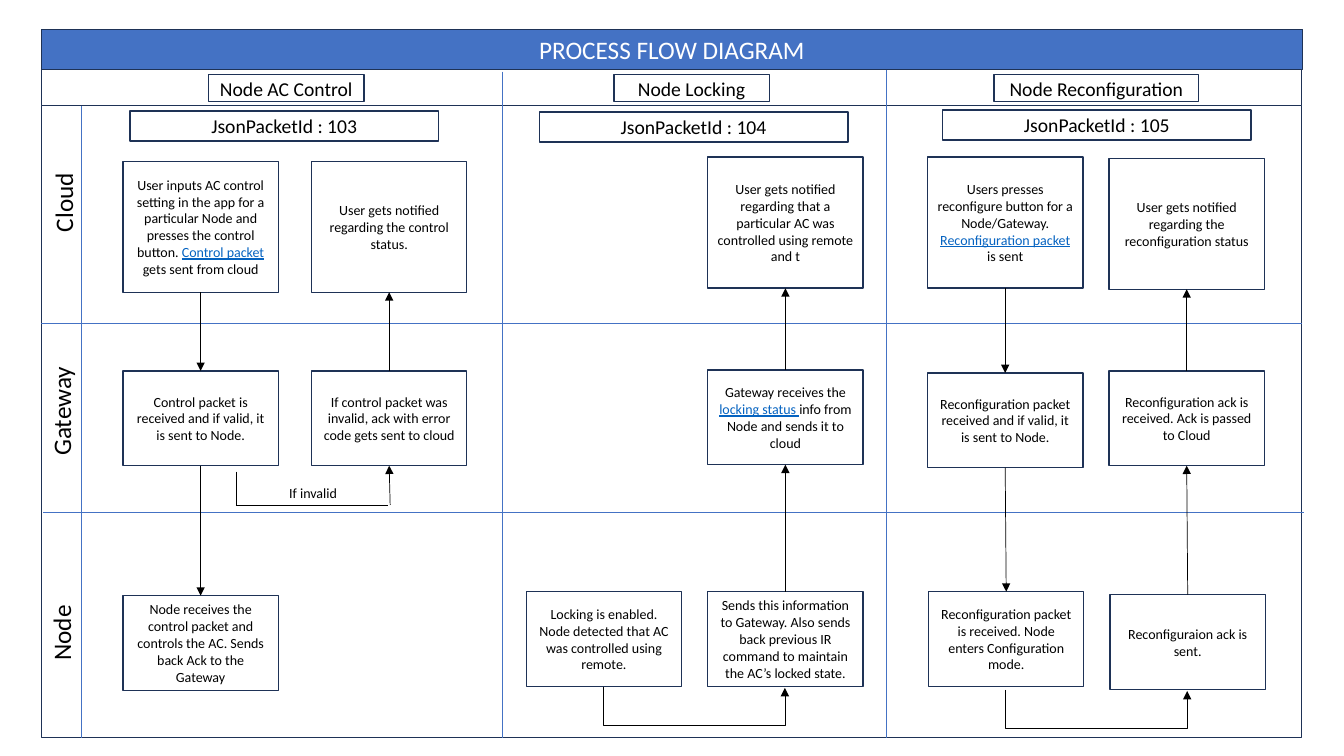
from dataclasses import dataclass

from lxml.etree import SubElement
from pptx import Presentation
from pptx.dml.color import RGBColor
from pptx.enum.shapes import MSO_CONNECTOR as Connector, MSO_SHAPE as Shape
from pptx.enum.text import MSO_ANCHOR as Anchor, MSO_AUTO_SIZE as AutoSize, PP_ALIGN as Align
from pptx.oxml.ns import qn
from pptx.util import Pt

PX = 9144  # EMU per px, 100 px to the inch
FONT = "Calibri"
BLACK, WHITE, BLUE, NAVY, LINK = "000000", "FFFFFF", "4472C4", "1E3256", "0563C1"
STEP_WIDTH, CLOUD_HEIGHT, STEP_HEIGHT = 154, 130, 94


@dataclass
class Step:
    left: int
    top: int
    text: str  # link wording stands between bars
    height: int = STEP_HEIGHT


@dataclass
class Process:
    name: str
    name_left: int
    name_width: int
    packet_id: int
    packet_left: int
    packet_top: int


@dataclass
class Line:
    x1: int
    y1: int
    x2: int
    y2: int
    arrow: bool = True


@dataclass
class Lane:
    name: str
    left: int
    top: int


def px(length: int) -> int:
    return length * PX


def rgb(colour: str) -> RGBColor:
    return RGBColor.from_string(colour)


def write(shape, text: str, size: int, colour: str = BLACK) -> None:
    frame = shape.text_frame
    frame.word_wrap = True
    paragraph = frame.paragraphs[0]
    paragraph.alignment = Align.CENTER
    paragraph.font.size = Pt(size)
    paragraph.font.name = FONT
    paragraph.font.color.rgb = rgb(colour)
    for index, piece in enumerate(text.split("|")):
        run = paragraph.add_run()
        run.text = piece
        if index % 2:
            run.font.color.rgb = rgb(LINK)
            run.font.underline = True


def paint(shape, fill: str) -> None:
    shape.fill.solid()
    shape.fill.fore_color.rgb = rgb(fill)
    shape.line.color.rgb = rgb(NAVY)
    shape.line.width = Pt(1)


def add_box(shapes, left: int, top: int, width: int, height: int,
            text: str = "", size: int = 10) -> None:
    box = shapes.add_shape(Shape.RECTANGLE, px(left), px(top), px(width), px(height))
    box.shadow.inherit = False
    paint(box, WHITE)
    if text:
        box.text_frame.vertical_anchor = Anchor.MIDDLE
        write(box, text, size)


def add_label(shapes, left: int, top: int, width: int, height: int,
              text: str, size: int, rotation: int = 0) -> None:
    label = shapes.add_textbox(px(left), px(top), px(width), px(height))
    label.rotation = rotation
    write(label, text, size)


def add_line(shapes, line: Line, colour: str = BLACK, kind=Connector.STRAIGHT):
    connector = shapes.add_connector(kind, px(line.x1), px(line.y1), px(line.x2), px(line.y2))
    connector.line.color.rgb = rgb(colour)
    connector.line.width = Pt(0.5)
    properties = connector._element.spPr
    SubElement(properties, qn("a:effectLst"))
    if line.arrow:
        SubElement(properties.find(qn("a:ln")), qn("a:tailEnd"), type="triangle")
    return connector


def add_u_turn(shapes, left: int, top: int, span: int = 180, drop: int = 39) -> None:
    """Arrow that leaves downwards, runs right and comes back up."""
    middle, upper = left + span // 2, top + 1 - span // 2
    turn = add_line(shapes, Line(middle + 1, upper, middle, upper + span), kind=Connector.ELBOW)
    properties = turn._element.spPr
    properties.find(qn("a:xfrm")).set("rot", str(270 * 60000))
    adjustments = properties.find(qn("a:prstGeom")).find(qn("a:avLst"))
    SubElement(adjustments, qn("a:gd"), name="adj1", fmla=f"val {drop * 100000}")


LANES = [Lane("Cloud", -10, 181), Lane("Gateway", -12, 388), Lane("Node", -12, 608)]
LANE_LINES = [Line(41, 321, 1291, 321, False), Line(43, 508, 1293, 508, False),
              Line(81, 105, 81, 732, False)]
PROCESS_LINES = [Line(498, 71, 498, 732, False), Line(879, 69, 879, 732, False)]
PROCESSES = [
    Process("Node AC Control", 207, 154, 103, 129, 110),
    Process("Node Locking", 609, 154, 104, 535, 111),
    Process("Node Reconfiguration", 986, 203, 105, 935, 109),
]
STEPS = [
    # AC control
    Step(122, 160, "User inputs AC control setting in the app for a particular Node and "
         "presses the control button. |Control packet |gets sent from cloud", CLOUD_HEIGHT),
    Step(122, 368, "Control packet is received and if valid, it is sent to Node."),
    Step(122, 591, "Node receives the control packet and controls the AC. "
         "Sends back Ack to the Gateway"),
    Step(309, 368, "If control packet was invalid, ack with error code gets sent to cloud"),
    Step(309, 160, "User gets notified regarding the control status.", CLOUD_HEIGHT),
    # Locking
    Step(522, 587, "Locking is enabled. Node detected that AC was controlled using remote."),
    Step(702, 587, "Sends this information to Gateway. Also sends back previous IR command "
         "to maintain the AC’s locked state."),
    Step(702, 367, "Gateway receives the |locking status |info from Node and sends it to cloud"),
    Step(702, 156, "User gets notified regarding that a particular AC was controlled "
         "using remote and t", CLOUD_HEIGHT),
    # Reconfiguration
    Step(920, 156, "Users presses reconfigure button for a Node/Gateway. "
         "|Reconfiguration packet |is sent", CLOUD_HEIGHT),
    Step(920, 370, "Reconfiguration packet received and if valid, it is sent to Node."),
    Step(921, 587, "Reconfiguration packet is received. Node enters Configuration mode."),
    Step(1101, 590, "Reconfiguraion ack is sent."),
    Step(1100, 368, "Reconfiguration ack is received. Ack is passed to Cloud"),
    Step(1100, 157, "User gets notified regarding the reconfiguration status", CLOUD_HEIGHT),
]
FLOWS = [
    Line(199, 290, 199, 368), Line(199, 462, 199, 591), Line(386, 368, 386, 290),
    Line(234, 468, 234, 501, False), Line(234, 501, 385, 501, False), Line(387, 501, 386, 462),
    Line(779, 367, 779, 286), Line(779, 587, 779, 461),
    Line(997, 286, 997, 370), Line(997, 464, 998, 587),
    Line(1177, 368, 1177, 287), Line(1178, 590, 1177, 462),
]


def main() -> None:
    deck = Presentation()
    deck.slide_width, deck.slide_height = px(1333), px(750)
    slide = deck.slides.add_slide(deck.slide_layouts[5])
    shapes = slide.shapes

    # Title bar
    title = shapes.title
    title.left, title.top, title.width, title.height = px(41), px(29), px(1251), px(40)
    paint(title, BLUE)
    title.text_frame.auto_size = AutoSize.NONE
    title.text_frame.vertical_anchor = Anchor.MIDDLE
    write(title, "PROCESS FLOW DIAGRAM", 18, WHITE)

    # Swimlanes
    swimlanes = shapes.add_group_shape().shapes
    add_box(swimlanes, 41, 105, 1250, 627)
    for line in LANE_LINES:
        add_line(swimlanes, line, BLUE)
    for lane in LANES:
        add_label(swimlanes, lane.left, lane.top, 145, 40, lane.name, 18, 270)

    # Steps and the arrows between them
    for step in STEPS:
        add_box(shapes, step.left, step.top, STEP_WIDTH, step.height, step.text)
    for flow in FLOWS:
        add_line(shapes, flow)
    add_u_turn(shapes, 598, 681)
    add_u_turn(shapes, 997, 684)
    add_label(shapes, 267, 476, 87, 27, "If invalid", 10)

    # Process headings
    add_box(shapes, 41, 69, 1250, 36)
    for line in PROCESS_LINES:
        add_line(shapes, line, BLUE)
    for process in PROCESSES:
        add_box(shapes, process.name_left, 74, process.name_width, 27, process.name, 14)
        add_box(shapes, process.packet_left, process.packet_top, 306, 30,
                f"JsonPacketId : {process.packet_id}", 14)

    deck.save("out.pptx")


if __name__ == "__main__":
    main()
